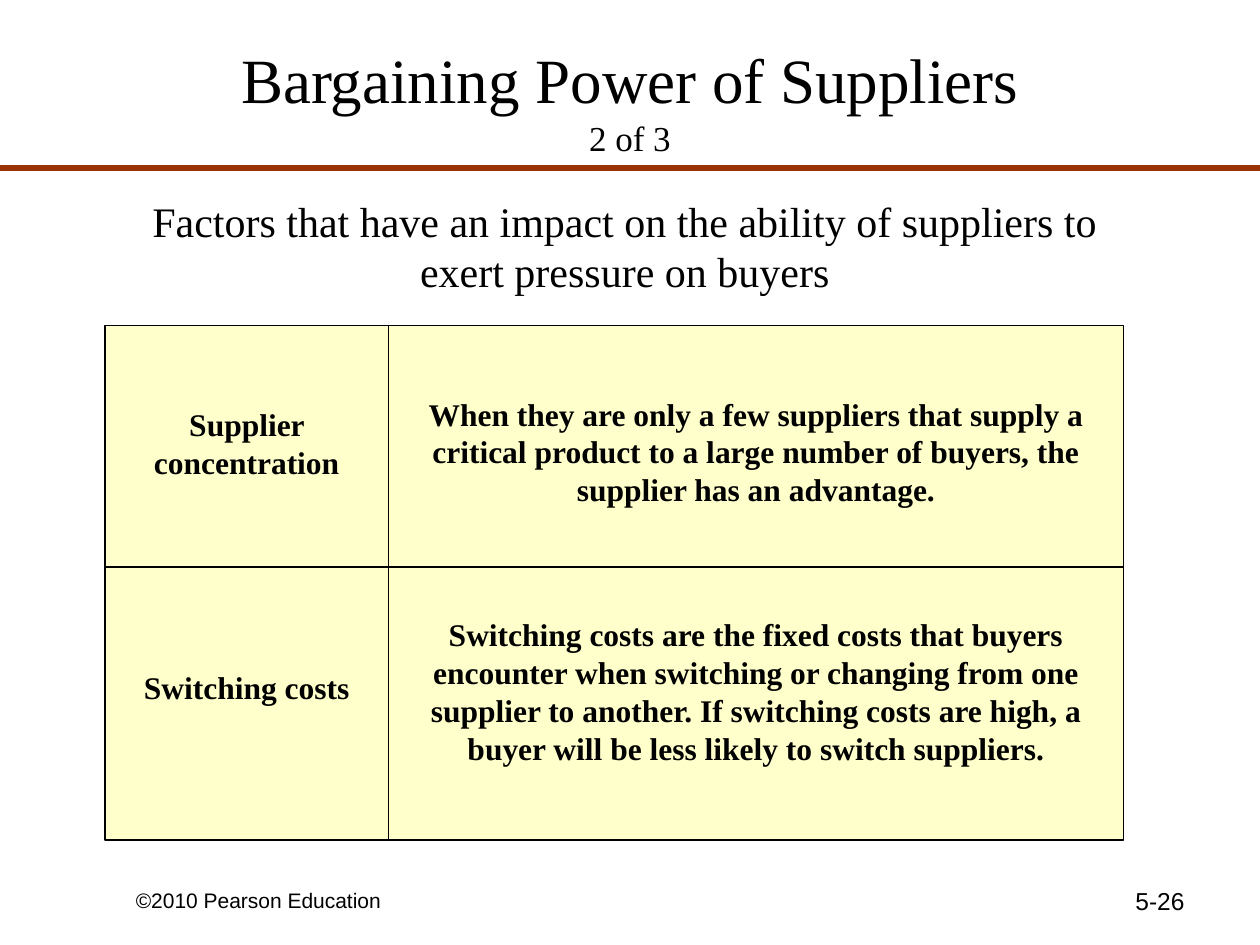
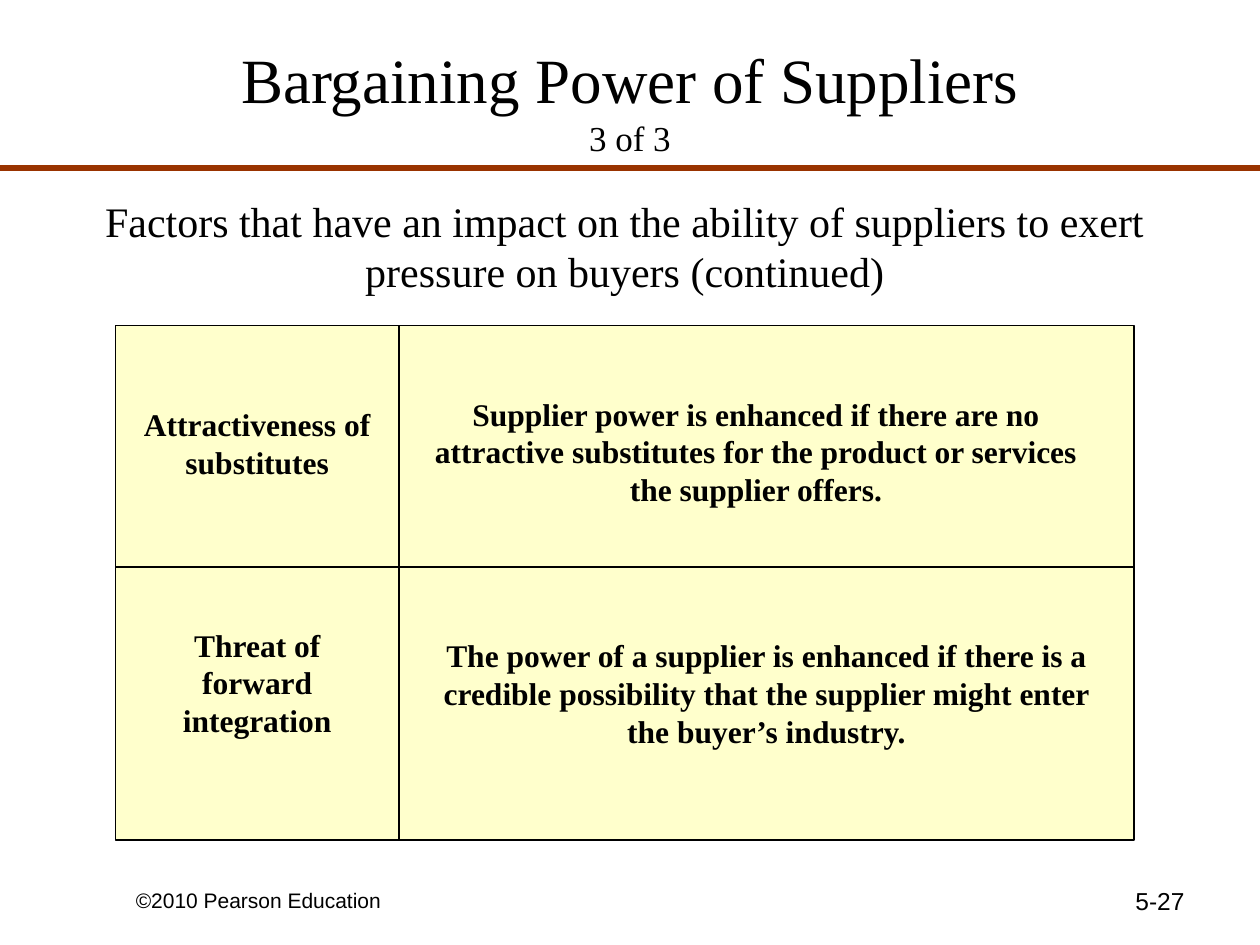
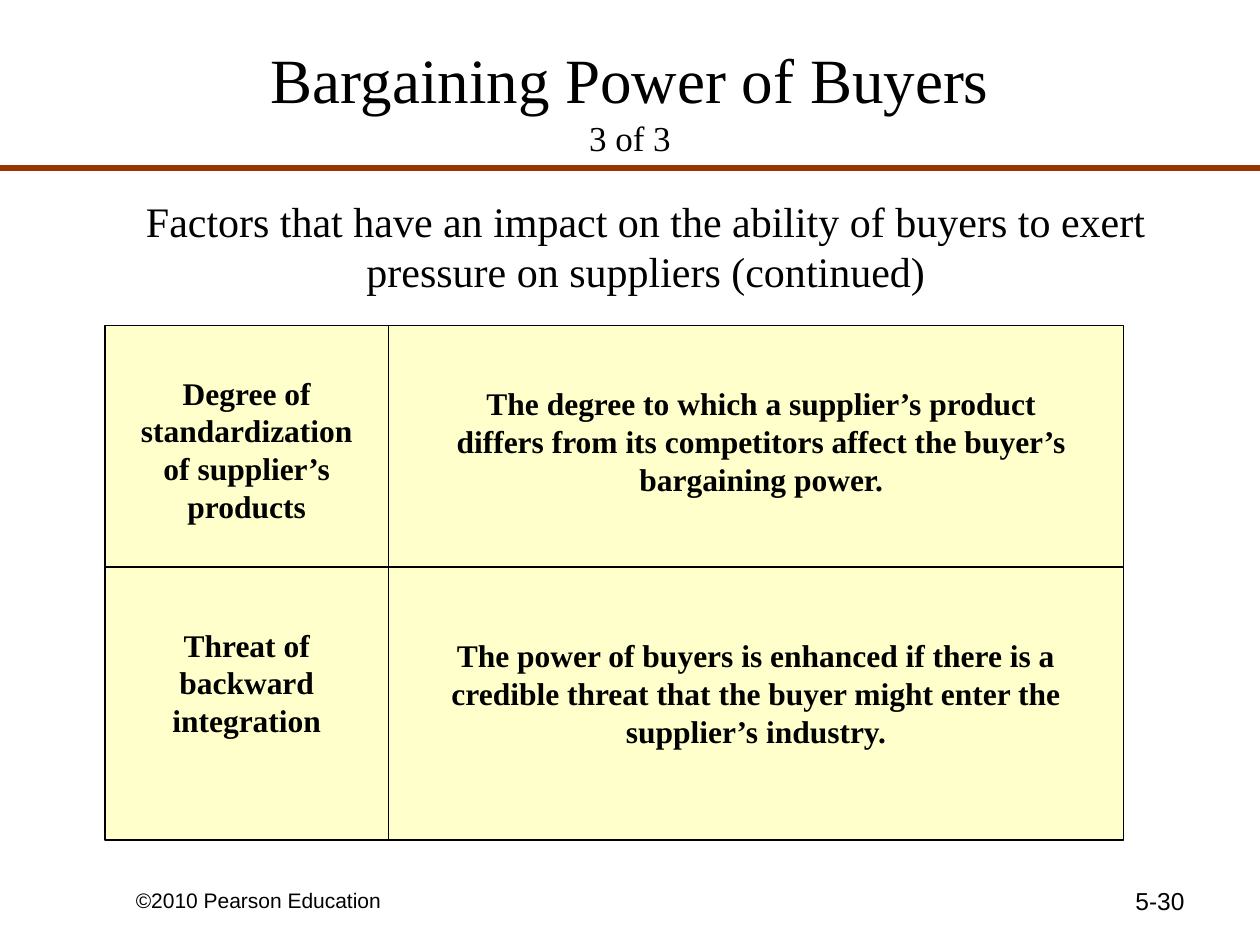
from dataclasses import dataclass

from lxml.etree import SubElement
from pptx import Presentation
from pptx.dml.color import RGBColor
from pptx.enum.shapes import MSO_CONNECTOR as Connector, MSO_SHAPE as Preset
from pptx.enum.text import MSO_ANCHOR as Anchor, MSO_AUTO_SIZE as AutoSize, PP_ALIGN as Align
from pptx.oxml.ns import qn
from pptx.slide import Slide
from pptx.text.text import Font
from pptx.util import Pt

COLORS = {"text": "000000", "rule": "993300", "panel": "FFFFCC", "grid": "000000"}
SERIF = "Times New Roman"
SANS = "Arial"
COPYRIGHT = "©2010 Pearson Education"

PAGE_WIDTH, PAGE_HEIGHT = 720, 540
RULE_TOP = 96
HEADING_TOP = 108
GRID_TOP, GRID_WIDTH, GRID_HEIGHT = 186, 582, 294
LABEL_COLUMN, FIRST_ROW = 162, 138
CELL_GAP = 6
LABEL_WIDTH, NOTE_WIDTH = 150, 408
LINE_FACTOR = 1.2
INSET = 3.6


@dataclass(frozen=True)
class TextStyle:
    font: str
    size: float
    bold: bool = False
    align: Align = Align.CENTER
    fixed_lines: bool = True


HEADING = TextStyle(SERIF, 24)
CELL = TextStyle(SERIF, 18, bold=True)
FOOTER = TextStyle(SANS, 12, align=Align.LEFT, fixed_lines=False)
NUMBER = TextStyle(SANS, 14, align=Align.RIGHT, fixed_lines=False)


@dataclass(frozen=True)
class Area:
    left: float
    top: float
    width: float
    lines: int


@dataclass(frozen=True)
class Factor:
    label: str
    label_top: float
    label_lines: int
    note: str
    note_top: float
    note_lines: int
    note_shift: float = 0
    note_width: float = NOTE_WIDTH


@dataclass(frozen=True)
class FactorPage:
    title: str
    subtitle: str
    number: str
    heading: str
    heading_left: float
    heading_width: float
    grid_left: float
    factors: tuple[Factor, ...]


PAGES = (
    FactorPage(
        "Bargaining Power of Suppliers", "2 of 3", "5-26",
        "Factors that have an impact on the ability of suppliers to exert pressure on buyers",
        60, 594, 60,
        (
            Factor("Supplier concentration", 228, 2,
                   "When they are only a few suppliers that supply a critical product "
                   "to a large number of buyers, the supplier has an advantage.", 222, 3),
            Factor("Switching costs", 378, 1,
                   "Switching costs are the fixed costs that buyers encounter when "
                   "switching or changing from one supplier to another. If switching "
                   "costs are high, a buyer will be less likely to switch suppliers.", 348, 4),
        ),
    ),
    FactorPage(
        "Bargaining Power of Suppliers", "3 of 3", "5-27",
        "Factors that have an impact on the ability of suppliers to exert pressure on buyers "
        "(continued)",
        48, 618, 66,
        (
            Factor("Attractiveness of substitutes", 228, 2,
                   "Supplier power is enhanced if there are no attractive substitutes "
                   "for the product or services the supplier offers.", 222, 3, note_shift=-6),
            Factor("Threat of forward integration", 354, 3,
                   "The power of a supplier is enhanced if there is a credible possibility "
                   "that the supplier might enter the buyer’s industry.", 360, 3),
        ),
    ),
    FactorPage(
        "Bargaining Power of Buyers", "3 of 3", "5-30",
        "Factors that have an impact on the ability of buyers to exert pressure on suppliers "
        "(continued)",
        42, 654, 60,
        (
            Factor("Degree of standardization of supplier’s products", 210, 4,
                   "The degree to which a supplier’s product differs from its competitors "
                   "affect the buyer’s bargaining power.", 216, 3, note_shift=18, note_width=378),
            Factor("Threat of backward integration", 354, 3,
                   "The power of buyers is enhanced if there is a credible threat that the "
                   "buyer might enter the supplier’s industry.", 360, 3),
        ),
    ),
)


def color(name: str) -> RGBColor:
    return RGBColor.from_string(COLORS[name])


def set_font(font: Font, name: str, size: float, bold: bool = False) -> None:
    font.name = name
    font.size = Pt(size)
    font.bold = bold
    font.color.rgb = color("text")


def add_text(page: Slide, text: str, area: Area, style: TextStyle) -> None:
    height = area.lines * style.size * LINE_FACTOR + 2 * INSET
    box = page.shapes.add_textbox(Pt(area.left), Pt(area.top), Pt(area.width), Pt(height))
    frame = box.text_frame
    frame.word_wrap = True
    frame.auto_size = AutoSize.NONE
    para = frame.paragraphs[0]
    para.text = text
    para.alignment = style.align
    if style.fixed_lines:
        para.line_spacing = Pt(style.size * LINE_FACTOR)
    set_font(para.font, style.font, style.size, style.bold)


def add_line(page: Slide, start: tuple[float, float], end: tuple[float, float],
             color_name: str, width: float) -> None:
    line = page.shapes.add_connector(
        Connector.STRAIGHT, Pt(start[0]), Pt(start[1]), Pt(end[0]), Pt(end[1]))
    line.line.color.rgb = color(color_name)
    line.line.width = Pt(width)
    SubElement(line._element.spPr, qn("a:effectLst"))


def set_title(page: Slide, title: str, subtitle: str) -> None:
    box = page.shapes.title
    box.left, box.top, box.width, box.height = Pt(36), Pt(12), Pt(648), Pt(90)
    frame = box.text_frame
    frame.vertical_anchor = Anchor.MIDDLE
    frame.auto_size = AutoSize.NONE
    para = frame.paragraphs[0]
    para.alignment = Align.CENTER
    set_font(para.font, SERIF, 36)
    para.add_run().text = title
    para.add_line_break()
    span = para.add_run()
    span.text = subtitle
    span.font.size = Pt(20)


def add_grid(page: Slide, left: float) -> None:
    panel = page.shapes.add_shape(
        Preset.RECTANGLE, Pt(left), Pt(GRID_TOP), Pt(GRID_WIDTH), Pt(GRID_HEIGHT))
    panel.shadow.inherit = False
    panel.fill.solid()
    panel.fill.fore_color.rgb = color("panel")
    panel.line.color.rgb = color("grid")
    panel.line.width = Pt(0.75)
    row, column = GRID_TOP + FIRST_ROW, left + LABEL_COLUMN
    add_line(page, (left, row), (left + GRID_WIDTH, row), "grid", 0.75)
    add_line(page, (column, GRID_TOP), (column, GRID_TOP + GRID_HEIGHT), "grid", 0.75)


def add_factor(page: Slide, factor: Factor, grid_left: float) -> None:
    label_left = grid_left + CELL_GAP
    note_left = label_left + LABEL_COLUMN + factor.note_shift
    add_text(page, factor.label,
             Area(label_left, factor.label_top, LABEL_WIDTH, factor.label_lines), CELL)
    add_text(page, factor.note,
             Area(note_left, factor.note_top, factor.note_width, factor.note_lines), CELL)


def main() -> None:
    deck = Presentation()
    deck.slide_width, deck.slide_height = Pt(PAGE_WIDTH), Pt(PAGE_HEIGHT)
    title_only = deck.slide_layouts[5]
    for content in PAGES:
        page = deck.slides.add_slide(title_only)
        set_title(page, content.title, content.subtitle)
        add_text(page, COPYRIGHT, Area(70.5, 503.5, 168, 1), FOOTER)
        add_text(page, content.number, Area(516, 502.5, 168, 1), NUMBER)
        add_line(page, (0, RULE_TOP), (PAGE_WIDTH, RULE_TOP), "rule", 3)
        add_text(page, content.heading,
                 Area(content.heading_left, HEADING_TOP, content.heading_width, 2), HEADING)
        add_grid(page, content.grid_left)
        for factor in content.factors:
            add_factor(page, factor, content.grid_left)
    deck.save("out.pptx")


if __name__ == "__main__":
    main()
